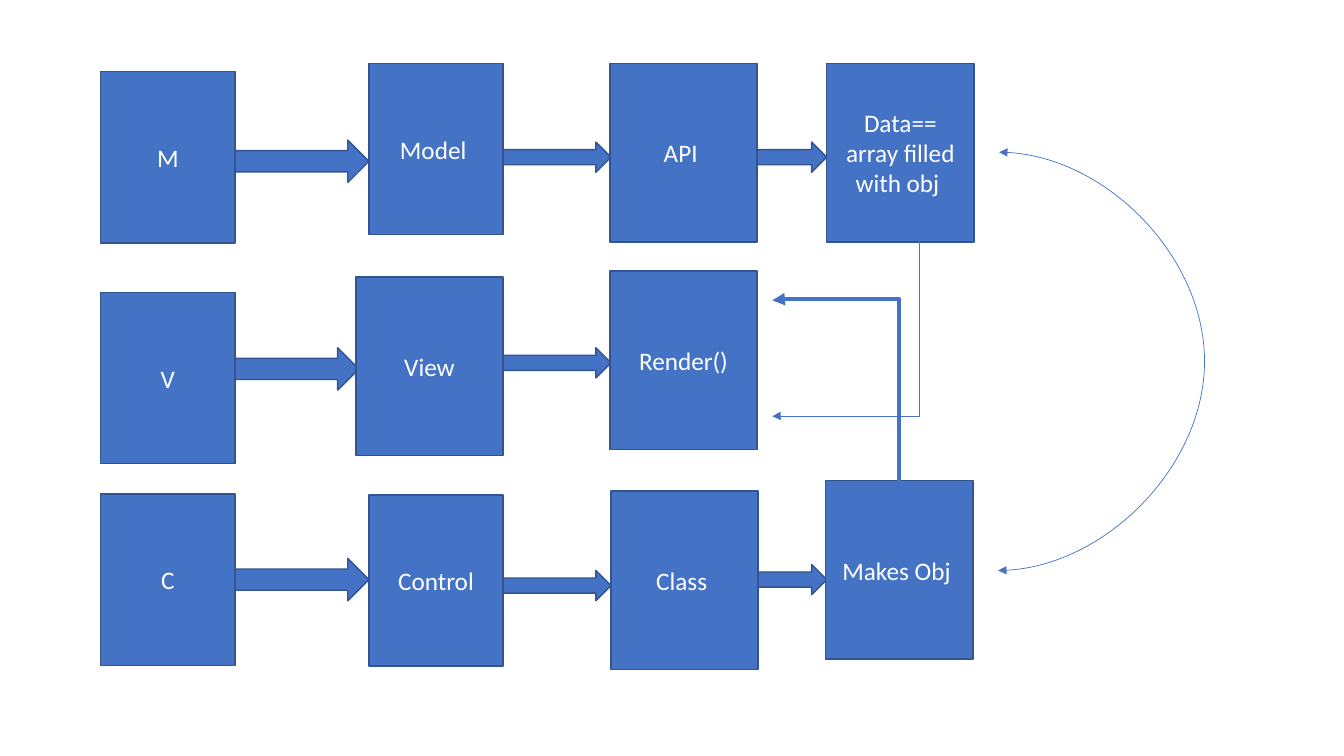
from dataclasses import dataclass

from pptx import Presentation
from pptx.dml.color import RGBColor
from pptx.enum.shapes import MSO_CONNECTOR, MSO_SHAPE
from pptx.enum.text import MSO_ANCHOR, PP_ALIGN
from pptx.oxml.ns import qn
from pptx.util import Emu, Pt
from lxml.etree import SubElement

PX = 9144  # 100 px to the inch
BLUE, DARK_BLUE, WHITE = "4472C4", "325491", "FFFFFF"
SMALL, LARGE = (133, 170), (146, 177)


@dataclass(frozen=True)
class Block:
    label: str
    left: int
    top: int
    size: tuple[int, int] = LARGE


@dataclass(frozen=True)
class Arrow:
    left: int
    top: int
    width: int
    height: int = 30


@dataclass(frozen=True)
class Bend:
    """A line that leaves vertically and turns left to its arrowhead."""
    start: tuple[int, int]
    end: tuple[int, int]
    weight: float
    turn: int


BLOCKS = [
    Block("M", 100, 71, SMALL),
    Block("Model ", 366, 63, SMALL),
    Block("API ", 605, 63),
    Block("Data==\varray filled with obj ", 820, 63),
    Block("V", 100, 290, SMALL),
    Block("View", 353, 275),
    Block("Render()", 605, 269),
    Block("C", 100, 490, SMALL),
    Block("Control", 366, 491, SMALL),
    Block("Class ", 606, 487),
    Block("Makes Obj ", 819, 477),
]
ARROWS = [
    Arrow(233, 139, 133, 42),
    Arrow(499, 141, 107),
    Arrow(751, 141, 69),
    Arrow(233, 345, 123, 42),
    Arrow(499, 345, 107),
    Arrow(233, 554, 133, 42),
    Arrow(499, 566, 107),
    Arrow(751, 560, 69),
]
BENDS = [
    Bend((912, 239), (766, 413), 0.5, 99800),
    Bend((892, 477), (766, 298), 3, 100600),
]


def px(length: float) -> Emu:
    return Emu(round(length * PX))


def rgb(colour: str) -> RGBColor:
    return RGBColor.from_string(colour)


def add_filled(slide, kind, left: int, top: int, width: int, height: int):
    shape = slide.shapes.add_shape(kind, px(left), px(top), px(width), px(height))
    shape.shadow.inherit = False
    shape.fill.solid()
    shape.fill.fore_color.rgb = rgb(BLUE)
    shape.line.color.rgb = rgb(DARK_BLUE)
    shape.line.width = Pt(1)
    return shape


def add_block(slide, block: Block) -> None:
    frame = add_filled(slide, MSO_SHAPE.RECTANGLE, block.left, block.top, *block.size).text_frame
    frame.word_wrap = True
    frame.vertical_anchor = MSO_ANCHOR.MIDDLE
    frame.text = block.label
    paragraph = frame.paragraphs[0]
    paragraph.alignment = PP_ALIGN.CENTER
    for run in paragraph.runs:
        run.font.name = "Calibri"
        run.font.size = Pt(18)
        run.font.color.rgb = rgb(WHITE)


def add_link(slide, kind, ends: tuple[float, ...], weight: float, turn: int, heads: tuple[str, ...]):
    """Add a connector whose turning point is in 1/100000 of its width."""
    link = slide.shapes.add_connector(kind, *(px(length) for length in ends))
    link.line.color.rgb = rgb(BLUE)
    link.line.width = Pt(weight)
    properties = link._element.spPr
    for head in heads:
        SubElement(properties.find(qn("a:ln")), qn(head), type="triangle")
    SubElement(properties, qn("a:effectLst"))
    geometry = properties.find(qn("a:prstGeom"))
    adjustments = geometry.find(qn("a:avLst"))
    if adjustments is None:
        adjustments = SubElement(geometry, qn("a:avLst"))
    SubElement(adjustments, qn("a:gd"), name="adj1", fmla=f"val {turn}")
    return link


def add_bend(slide, bend: Bend) -> None:
    (x1, y1), (x2, y2) = bend.start, bend.end
    width, height = abs(y2 - y1), abs(x2 - x1)
    left, top = (x1 + x2 - width) / 2, (y1 + y2 - height) / 2
    downward = y2 > y1
    begin_y, end_y = (top, top + height) if downward else (top + height, top)
    link = add_link(slide, MSO_CONNECTOR.ELBOW, (left, begin_y, left + width, end_y),
                    bend.weight, bend.turn, ("a:tailEnd",))
    rotation = 90 if downward else 270
    link._element.spPr.find(qn("a:xfrm")).set("rot", str(rotation * 60000))


def main() -> None:
    presentation = Presentation()
    presentation.slide_width, presentation.slide_height = px(1333), px(750)
    slide = presentation.slides.add_slide(presentation.slide_layouts[6])
    for arrow in ARROWS:
        add_filled(slide, MSO_SHAPE.RIGHT_ARROW, arrow.left, arrow.top, arrow.width, arrow.height)
    for block in BLOCKS:
        add_block(slide, block)
    add_link(slide, MSO_CONNECTOR.CURVE, (991, 151, 990, 566), 0.5, -207 * 100000,
             ("a:headEnd", "a:tailEnd"))
    for bend in BENDS:
        add_bend(slide, bend)
    presentation.save("out.pptx")


if __name__ == "__main__":
    main()
